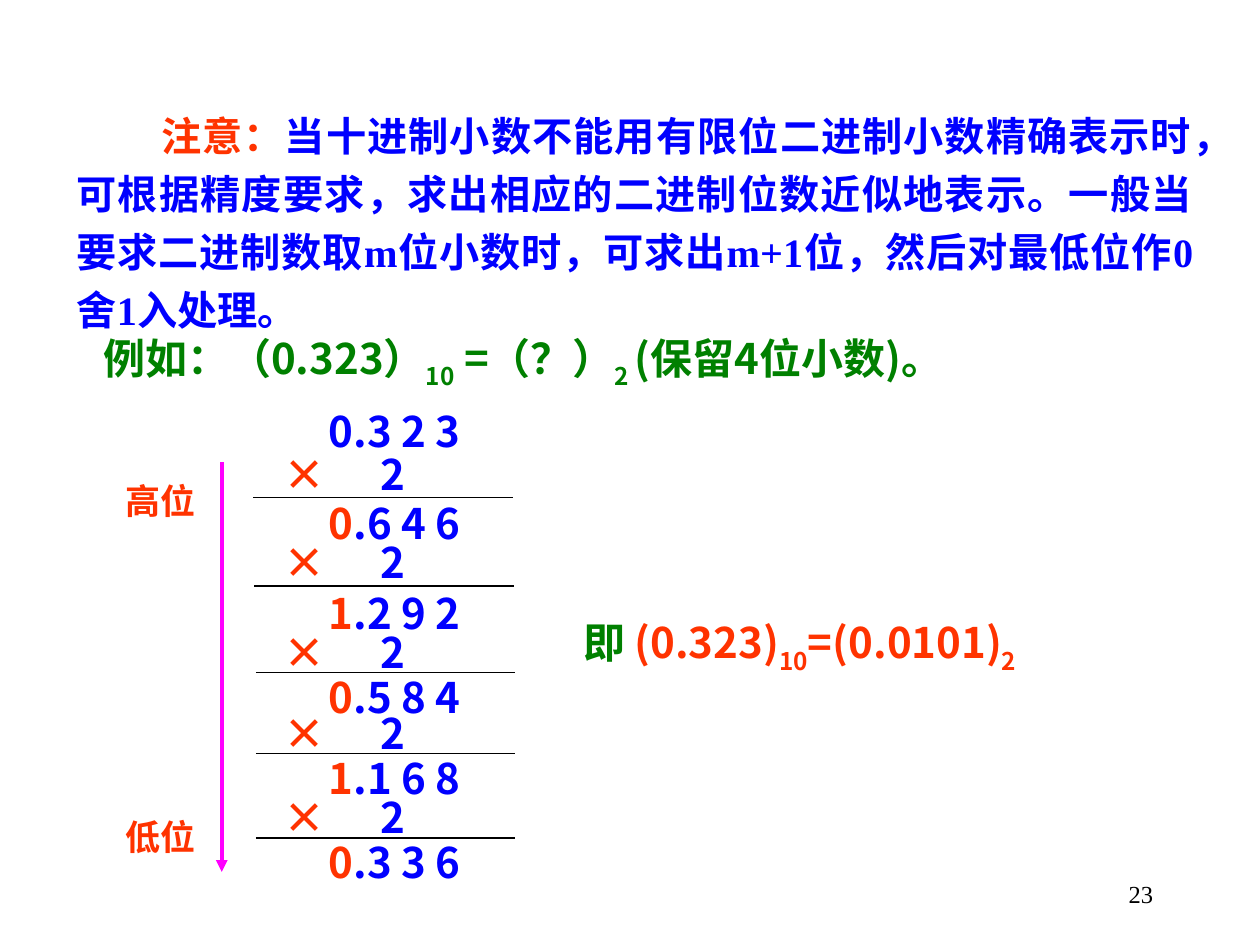
import pptx
import pptx.dml.color
import pptx.enum.shapes
import pptx.enum.text
import pptx.oxml.ns
import pptx.util
from lxml import etree
from pptx.util import Inches

SANS = "Noto Sans CJK SC"
SERIF = "Times New Roman"
BLUE, RED, GREEN = "0000FF", "FF3300", "008000"
ALIGN = pptx.enum.text.PP_ALIGN
qn = pptx.oxml.ns.qn

deck = pptx.Presentation()
deck.slide_width, deck.slide_height = Inches(10), Inches(7.5)
page = deck.slides.add_slide(deck.slide_layouts[6])


def add_text(spans, left, top, width, height=0.5, font=SANS, size=24, bold=True,
             align=ALIGN.JUSTIFY, spacing=None, indent=0, tab=None, wrap=True,
             anchor=pptx.enum.text.MSO_ANCHOR.TOP):
    """Add a one-paragraph box; spans are (text, colour[, baseline percent[, size]])."""
    box = page.shapes.add_textbox(Inches(left), Inches(top), Inches(width), Inches(height))
    frame = box.text_frame
    frame.word_wrap = wrap
    frame.vertical_anchor = anchor
    para = frame.paragraphs[0]
    para.alignment = align
    if spacing:
        para.line_spacing = spacing
    properties = para._p.get_or_add_pPr()
    if indent:
        properties.set("indent", str(Inches(indent)))
    if tab:
        tabs = etree.SubElement(properties, qn("a:tabLst"))
        etree.SubElement(tabs, qn("a:tab"), pos=str(Inches(tab)), algn="l")
    for text, colour, *extra in spans:
        span = para.add_run()
        span.text = text
        span.font.size = pptx.util.Pt(extra[1] if len(extra) > 1 else size)
        span.font.bold = bold
        span.font.color.rgb = pptx.dml.color.RGBColor.from_string(colour)
        span.font.name = font
        run_properties = span._r.get_or_add_rPr()
        etree.SubElement(run_properties, qn("a:ea"), typeface=SANS)
        if extra and extra[0]:
            run_properties.set("baseline", str(extra[0] * 1000))


def add_line(x1, y1, x2, y2, colour, width, arrow=False):
    line = page.shapes.add_connector(pptx.enum.shapes.MSO_CONNECTOR.STRAIGHT,
                                     Inches(x1), Inches(y1), Inches(x2), Inches(y2))
    line.line.color.rgb = pptx.dml.color.RGBColor.from_string(colour)
    line.line.width = pptx.util.Pt(width)
    if arrow:
        etree.SubElement(line.line._get_or_add_ln(), qn("a:tailEnd"), type="triangle")
    etree.SubElement(line._element.spPr, qn("a:effectLst"))


# Slide number
add_text([("23", "000000")], 7.17, 6.84, 2.08, font=SERIF, size=14, bold=False,
         align=ALIGN.RIGHT, anchor=pptx.enum.text.MSO_ANCHOR.MIDDLE)

# Note on rounding
add_text([("注意：", RED),
          ("当十进制小数不能用有限位二进制小数精确表示时，可根据精度要求，"
           "求出相应的二进制位数近似地表示。一般当要求二进制数取m位小数时，"
           "可求出m+1位，然后对最低位作0舍1入处理。", BLUE)],
         0.51, 0.76, 9.06, 1.96, font=SERIF, size=23, spacing=1.2, indent=0.67)

# Example and its result
add_text([("例如：（0.323）", GREEN), ("10", GREEN, -25), (" =（？）", GREEN),
          ("2 ", GREEN, -25), ("(保留4位小数)。", GREEN)],
         0.42, 2.59, 9, indent=0.3)
add_text([("即 ", GREEN), ("(0.323)", RED), ("10", RED, -30),
          ("=(0.0101)", RED), ("2", RED, -30)], 4.53, 4.84, 4.25)

# Repeated multiplication: multiplier top, rule left, rule height,
# product top, integer digit, fraction
add_text([("0.3 2 3", BLUE)], 2.51, 3.17, 1.65)
steps = [
    (3.51, 2.01, 3.95, 3.90, "0", ".6 4 6"),
    (4.21, 2.02, 4.65, 4.61, "1", ".2 9 2"),
    (4.92, 2.03, 5.34, 5.28, "0", ".5 8 4"),
    (5.57, 2.03, 5.98, 5.92, "1", ".1 6 8"),
    (6.23, 2.03, 6.65, 6.59, "0", ".3 3 6"),
]
for factor_top, rule_left, rule_y, product_top, digit, fraction in steps:
    add_text([("×", RED), ("\t2", BLUE)], 2.15, factor_top, 2, align=ALIGN.LEFT, tab=0.77)
    add_line(rule_left, rule_y, rule_left + 2.06, rule_y, "000000", 0.75)
    add_text([(digit, RED), (fraction, BLUE)], 2.51, product_top, 1.6)

# Reading direction, from high to low digit
add_line(1.76, 3.67, 1.76, 6.92, "FF00FF", 2.25, arrow=True)
for label, top in (("高位", 3.76), ("低位", 6.42)):
    add_text([(label, RED)], 0.9, top, 0.77, 0.43, font=SERIF, size=20, wrap=False)

deck.save("out.pptx")
